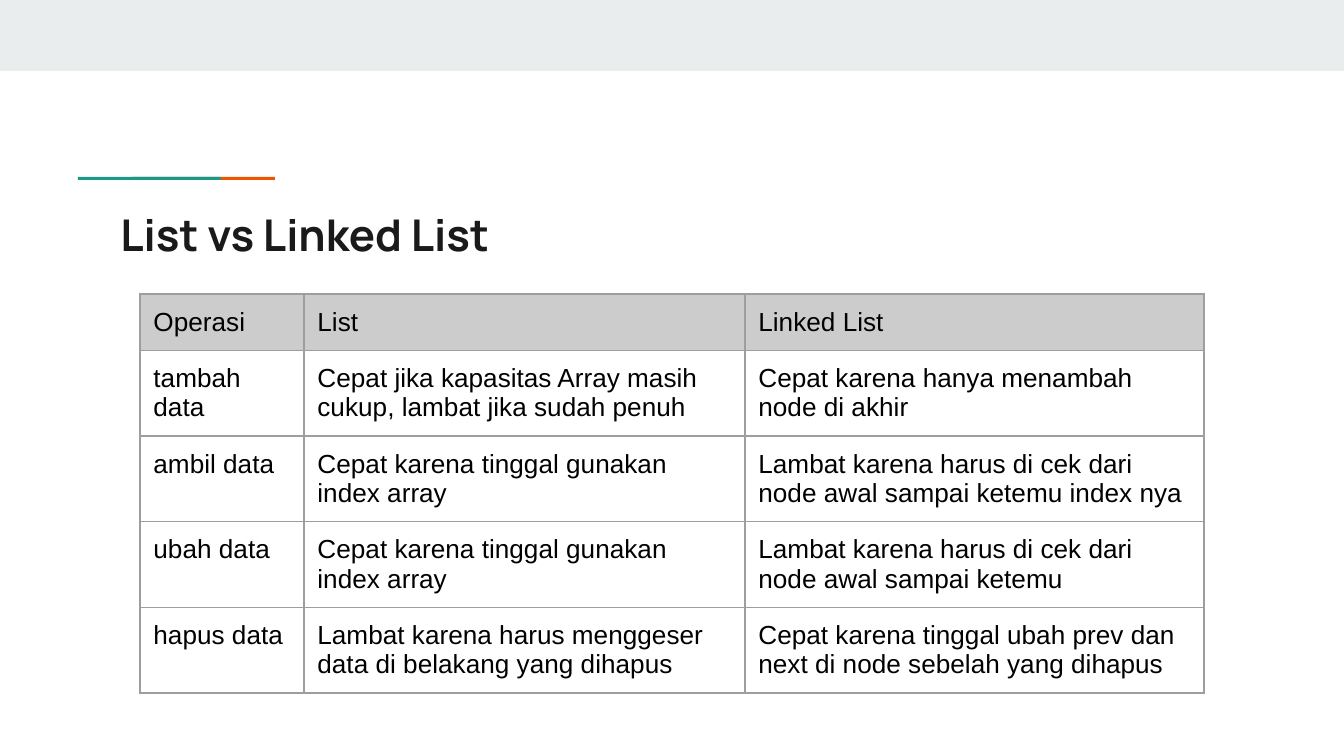
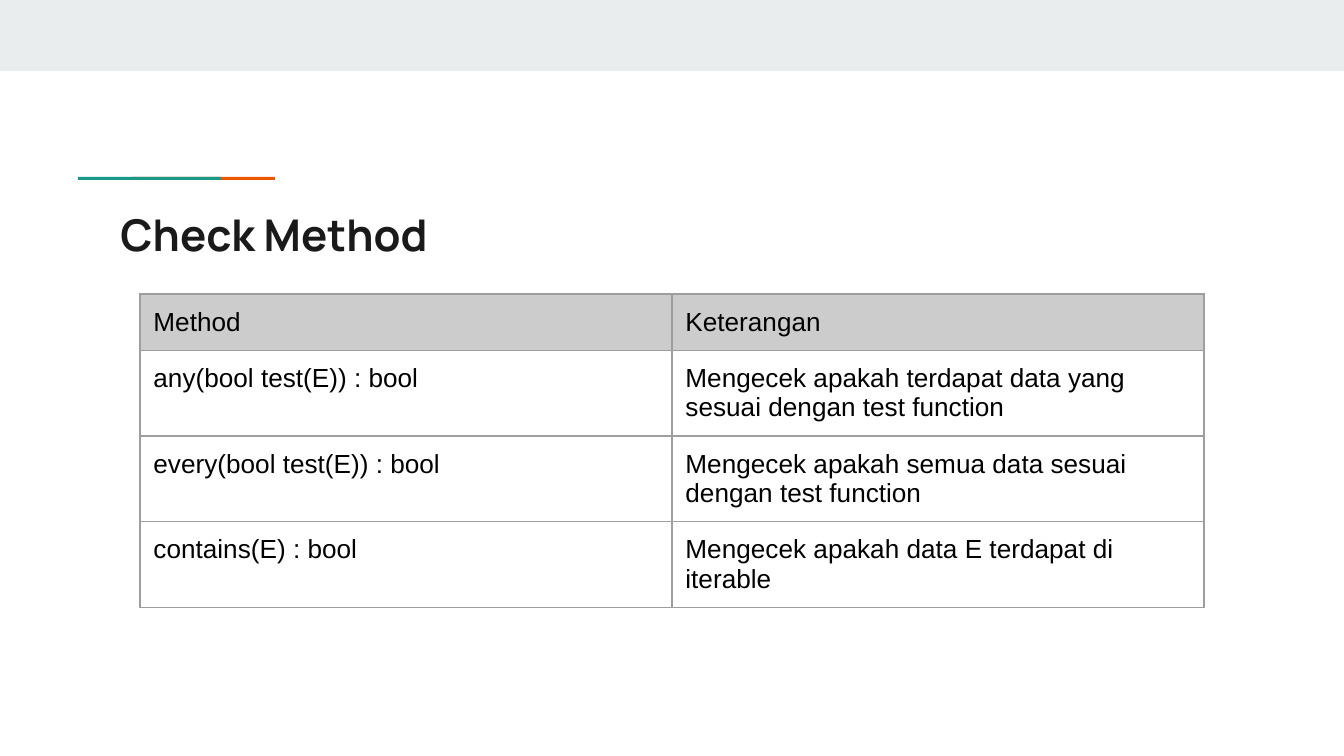
import pptx
import pptx.dml.color
import pptx.enum.shapes
import pptx.enum.text
import pptx.oxml
import pptx.oxml.ns
import pptx.util

PX = 9144000 / 1344  # EMU in one px

BAND = pptx.dml.color.RGBColor(0xE9, 0xED, 0xEE)
ORANGE = pptx.dml.color.RGBColor(0xEB, 0x56, 0x00)
TEAL = pptx.dml.color.RGBColor(0x1A, 0x99, 0x88)
TITLE = pptx.dml.color.RGBColor(0x1A, 0x1A, 0x1A)
BLACK = pptx.dml.color.RGBColor(0x00, 0x00, 0x00)
HEADER = pptx.dml.color.RGBColor(0xCC, 0xCC, 0xCC)
BORDER = pptx.dml.color.RGBColor(0x9E, 0x9E, 0x9E)

TABLE_LEFT, TABLE_TOP, ROW_HEIGHT = 140, 294, 56
INSET = pptx.util.Inches(0.1)

# Left, top, width, height and colour of the bars; teal overlaps orange
BARS = [
    (0, 0, 1344, 71, BAND),
    (132, 177, 143, 3, ORANGE),
    (78, 177, 143, 3, TEAL),
]

# Title, column widths and table rows of each slide
SLIDES = [
    ("List vs Linked List", [164, 441, 459], [
        ["Operasi", "List", "Linked List"],
        ["tambah data",
         "Cepat jika kapasitas Array masih cukup, lambat jika sudah penuh",
         "Cepat karena hanya menambah node di akhir"],
        ["ambil data",
         "Cepat karena tinggal gunakan index array",
         "Lambat karena harus di cek dari node awal sampai ketemu index nya"],
        ["ubah data",
         "Cepat karena tinggal gunakan index array",
         "Lambat karena harus di cek dari node awal sampai ketemu"],
        ["hapus data",
         "Lambat karena harus menggeser data di belakang yang dihapus",
         "Cepat karena tinggal ubah prev dan next di node sebelah yang dihapus"],
    ]),
    ("Check Method", [532, 532], [
        ["Method", "Keterangan"],
        ["any(bool test(E)) : bool",
         "Mengecek apakah terdapat data yang sesuai dengan test function"],
        ["every(bool test(E)) : bool",
         "Mengecek apakah semua data sesuai dengan test function"],
        ["contains(E) : bool",
         "Mengecek apakah data E terdapat di iterable"],
    ]),
]


def px(length):
    return pptx.util.Emu(round(length * PX))


def add_borders(cell):
    properties = cell._tc.get_or_add_tcPr()
    for position, side in enumerate(("lnL", "lnR", "lnT", "lnB")):
        line = pptx.oxml.parse_xml(
            f'<a:{side} {pptx.oxml.ns.nsdecls("a")} w="{pptx.util.Pt(0.75)}">'
            f'<a:solidFill><a:srgbClr val="{BORDER}"/></a:solidFill></a:{side}>')
        properties.insert(position, line)


presentation = pptx.Presentation()
presentation.slide_width = px(1344)
presentation.slide_height = px(756)
title_only = presentation.slide_layouts[5]

for title_text, column_widths, rows in SLIDES:
    slide = presentation.slides.add_slide(title_only)
    title = slide.shapes.title

    # Top band and two-colour accent, behind the title
    for left, top, width, height, colour in BARS:
        bar = slide.shapes.add_shape(
            pptx.enum.shapes.MSO_SHAPE.RECTANGLE,
            px(left), px(top), px(width), px(height))
        bar.shadow.inherit = False
        bar.fill.solid()
        bar.fill.fore_color.rgb = colour
        bar.line.fill.background()
        title._element.addprevious(bar._element)

    # Title
    title.left, title.top = px(107), px(194)
    title.width, title.height = px(1130), px(79)
    frame = title.text_frame
    frame.text = title_text
    frame.word_wrap = True
    frame.auto_size = pptx.enum.text.MSO_AUTO_SIZE.NONE
    frame.vertical_anchor = pptx.enum.text.MSO_ANCHOR.TOP
    frame.margin_left = frame.margin_right = INSET
    frame.margin_top = frame.margin_bottom = INSET
    paragraph = frame.paragraphs[0]
    paragraph.alignment = pptx.enum.text.PP_ALIGN.LEFT
    font = paragraph.runs[0].font
    font.name, font.size, font.bold = "Manrope", pptx.util.Pt(23.4), True
    font.color.rgb = TITLE

    # Table
    table = slide.shapes.add_table(
        len(rows), len(column_widths), px(TABLE_LEFT), px(TABLE_TOP),
        px(sum(column_widths)), px(ROW_HEIGHT * len(rows))).table
    table.first_row = table.horz_banding = False
    for column, width in zip(table.columns, column_widths):
        column.width = px(width)
    for row_index, row in enumerate(rows):
        table.rows[row_index].height = px(ROW_HEIGHT)
        for column_index, text in enumerate(row):
            cell = table.cell(row_index, column_index)
            cell.text_frame.text = text
            cell.margin_left = cell.margin_right = INSET
            cell.margin_top = cell.margin_bottom = INSET
            if row_index == 0:
                cell.fill.solid()
                cell.fill.fore_color.rgb = HEADER
            else:
                cell.fill.background()
            add_borders(cell)
            font = cell.text_frame.paragraphs[0].runs[0].font
            font.name, font.size = "Arial", pptx.util.Pt(14)
            font.color.rgb = BLACK

presentation.save("out.pptx")
